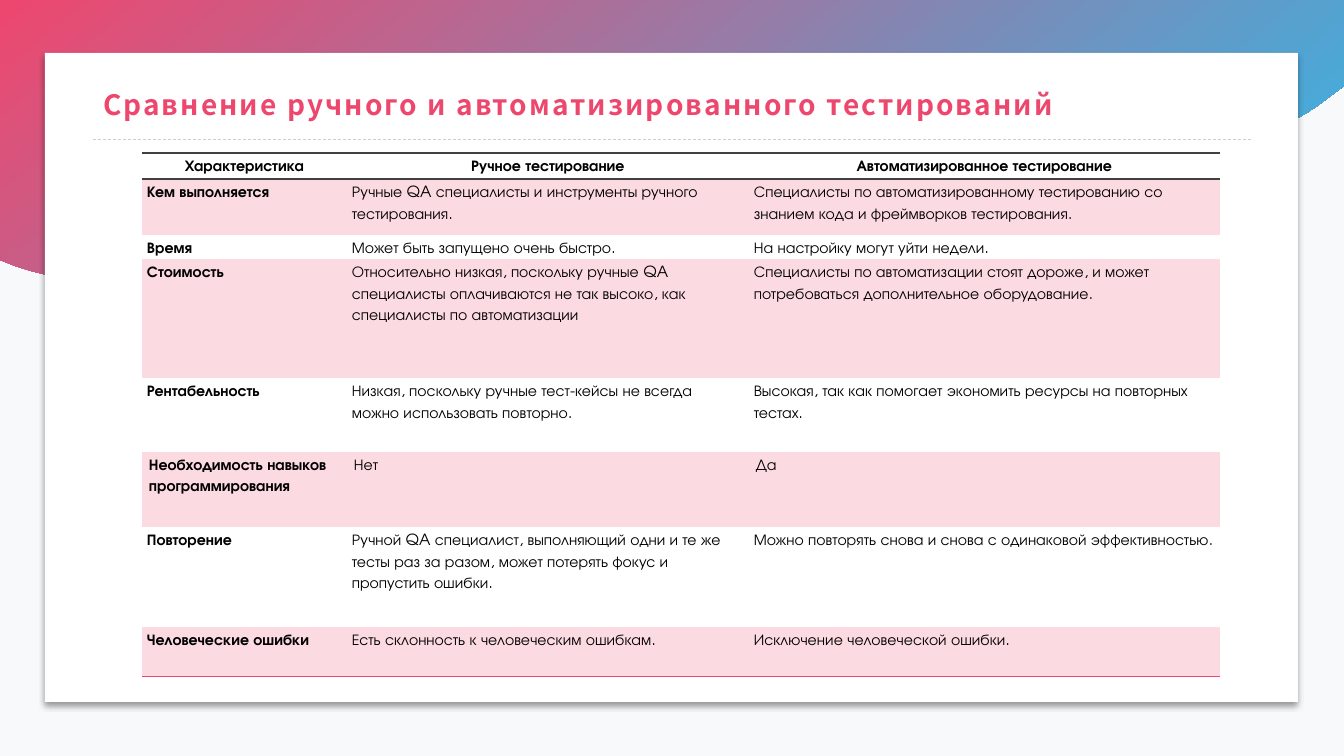
"""Slide comparing manual and automated testing in a table."""
from lxml import etree
from pptx import Presentation
from pptx.dml.color import RGBColor
from pptx.enum.dml import MSO_LINE
from pptx.enum.shapes import MSO_CONNECTOR, MSO_SHAPE
from pptx.enum.text import MSO_ANCHOR, MSO_AUTO_SIZE, PP_ALIGN
from pptx.oxml import parse_xml
from pptx.oxml.ns import nsdecls, qn
from pptx.util import Pt

LEFT, CENTER, JUSTIFY = PP_ALIGN.LEFT, PP_ALIGN.CENTER, PP_ALIGN.JUSTIFY
RECTANGLE, STRAIGHT = MSO_SHAPE.RECTANGLE, MSO_CONNECTOR.STRAIGHT
MIDDLE, NO_AUTOFIT, DASH = MSO_ANCHOR.MIDDLE, MSO_AUTO_SIZE.NONE, MSO_LINE.DASH
PINK = RGBColor(0xEE, 0x47, 0x6E)
BLUE = RGBColor(0x2D, 0xBA, 0xEA)
PALE_PINK = RGBColor(0xFC, 0xDA, 0xE2)
BACKDROP = RGBColor(0xF8, 0xF9, 0xFB)
WHITE = RGBColor(0xFF, 0xFF, 0xFF)
BLACK = RGBColor(0, 0, 0)
DARK_GRAY = RGBColor(0x40, 0x40, 0x40)
LIGHT_GRAY = RGBColor(0xD0, 0xCE, 0xCE)
TITLE_FONT, TABLE_FONT = "Noto Sans CJK JP", "TeX Gyre Adventor"
NO_STYLE = "{2D5ABB26-0587-4C30-8999-92F81FD0307C}"
PX = 914400 / 100.8

WAVE_START = (0, 260)
WAVE_CURVES = [
    ((123, 306), (268, 313), (396, 276)),
    ((534, 237), (653, 152), (798, 137)),
    ((943, 122), (1097, 181), (1237, 143)),
    ((1277, 132), (1313, 112), (1344, 86)),
]
CURVE_STEPS = 24
COLUMN_WIDTHS = [205, 402, 471]
ROW_HEIGHTS = [26, 56, 24, 119, 74, 75, 100, 50]
COMPARISON = [
    ("Характеристика", "Ручное тестирование", "Автоматизированное тестирование"),
    ("Кем выполняется",
     "Ручные QA специалисты и инструменты ручного тестирования.",
     "Специалисты по автоматизированному тестированию со знанием кода и фреймворков тестирования."),
    ("Время", "Может быть запущено очень быстро.", "На настройку могут уйти недели."),
    ("Стоимость",
     "Относительно низкая, поскольку ручные QA специалисты оплачиваются не так высоко, как специалисты по автоматизации",
     "Специалисты по автоматизации стоят дороже, и может потребоваться дополнительное оборудование."),
    ("Рентабельность",
     "Низкая, поскольку ручные тест-кейсы не всегда можно использовать повторно.",
     "Высокая, так как помогает экономить ресурсы на повторных тестах."),
    ("Необходимость навыков программирования", "Нет", "Да"),
    ("Повторение",
     "Ручной QA специалист, выполняющий одни и те же тесты раз за разом, может потерять фокус и пропустить ошибки.",
     "Можно повторять снова и снова с одинаковой эффективностью."),
    ("Человеческие ошибки",
     "Есть склонность к человеческим ошибкам.",
     "Исключение человеческой ошибки."),
]
SKILLS_ROW = 5
LAST_ROW = len(COMPARISON) - 1


def px(*lengths):
    """Turn pixel lengths into EMU."""
    return [round(length * PX) for length in lengths]


def add_border(cell, side, color):
    """Draw a one-point border on one side of a cell."""
    cell._tc.get_or_add_tcPr().append(parse_xml(
        f'<a:{side} {nsdecls("a")} w="12700"><a:solidFill>'
        f'<a:srgbClr val="{color}"/></a:solidFill></a:{side}>'))


prs = Presentation()
prs.slide_width, prs.slide_height = px(1344, 756)
slide = prs.slides.add_slide(prs.slide_layouts[5])
slide.background.fill.solid()
slide.background.fill.fore_color.rgb = BACKDROP

wave_points = []
start = WAVE_START
for pull_out, pull_in, end in WAVE_CURVES:
    for step in range(1, CURVE_STEPS + 1):
        t = step / CURVE_STEPS
        wave_points.append(tuple(
            (1 - t) ** 3 * a + 3 * (1 - t) ** 2 * t * b + 3 * (1 - t) * t ** 2 * c + t ** 3 * d
            for a, b, c, d in zip(start, pull_out, pull_in, end)))
    start = end
outline = slide.shapes.build_freeform(*WAVE_START, scale=PX)
outline.add_line_segments(wave_points + [(1344, 0), (0, 0)], close=True)
wave = outline.convert_to_shape()
wave.shadow.inherit = False
wave.line.fill.background()
wave.fill.gradient()
wave.fill.gradient_angle = 310
for stop, color, position in zip(wave.fill.gradient_stops, (PINK, BLUE), (0, 1)):
    stop.color.rgb = color
    stop.position = position

card = slide.shapes.add_shape(RECTANGLE, *px(45, 53, 1253, 649))
card.fill.solid()
card.fill.fore_color.rgb = WHITE
card.line.fill.background()
card.shadow.inherit = False
card._element.spPr.find(qn("a:effectLst")).append(parse_xml(
    f'<a:outerShdw {nsdecls("a")} blurRad="50800" dist="38100" dir="5400000" algn="t" rotWithShape="0">'
    '<a:srgbClr val="000000"><a:alpha val="40000"/></a:srgbClr></a:outerShdw>'))

divider = slide.shapes.add_connector(STRAIGHT, *px(93, 139, 1253, 139))
divider.line.color.rgb = LIGHT_GRAY
divider.line.width = Pt(0.5)
divider.line.dash_style = DASH
etree.SubElement(divider._element.spPr, qn("a:effectLst"))

title = slide.shapes.title
slide.shapes.element.append(title.element)
title.left, title.top, title.width, title.height = px(93, 74, 1160, 65)
title.text_frame.auto_size = NO_AUTOFIT
title.text_frame.vertical_anchor = MIDDLE
heading = title.text_frame.paragraphs[0]
heading.alignment = LEFT
heading.line_spacing = 0.9
heading_run = heading.add_run()
heading_run.text = "Сравнение ручного и автоматизированного тестирований"
heading_run.font.name = TITLE_FONT
heading_run.font.size = Pt(20)
heading_run.font.bold = True
heading_run.font.color.rgb = PINK
heading_run.font._element.set("spc", "150")

table = slide.shapes.add_table(
    len(ROW_HEIGHTS), len(COLUMN_WIDTHS),
    *px(142, 153, sum(COLUMN_WIDTHS), sum(ROW_HEIGHTS))).table
table.horz_banding = False
table._tbl.tblPr.find(qn("a:tableStyleId")).text = NO_STYLE
for column, width in zip(table.columns, px(*COLUMN_WIDTHS)):
    column.width = width
for row, height in zip(table.rows, px(*ROW_HEIGHTS)):
    row.height = height

for r, texts in enumerate(COMPARISON):
    for c, text in enumerate(texts):
        cell = table.cell(r, c)
        side_margin = 7 if r == SKILLS_ROW else 5
        cell.margin_left, cell.margin_right, cell.margin_top, cell.margin_bottom = px(
            side_margin, side_margin, 0, 0)
        if r == 0:
            add_border(cell, "lnT", DARK_GRAY)
            add_border(cell, "lnB", DARK_GRAY)
        elif r == LAST_ROW:
            add_border(cell, "lnB", PINK)
        if r % 2:
            cell.fill.solid()
            cell.fill.fore_color.rgb = PALE_PINK
        else:
            cell.fill.background()
        paragraph = cell.text_frame.paragraphs[0]
        paragraph.alignment = CENTER if r == 0 else JUSTIFY if r == SKILLS_ROW and c else LEFT
        paragraph.line_spacing = 1.5
        paragraph.space_after = Pt(8)
        run = paragraph.add_run()
        run.text = text
        run.font.name = TABLE_FONT
        run.font.size = Pt(11)
        run.font.bold = r == 0 or c == 0
        run.font.color.rgb = BLACK

prs.save("out.pptx")
